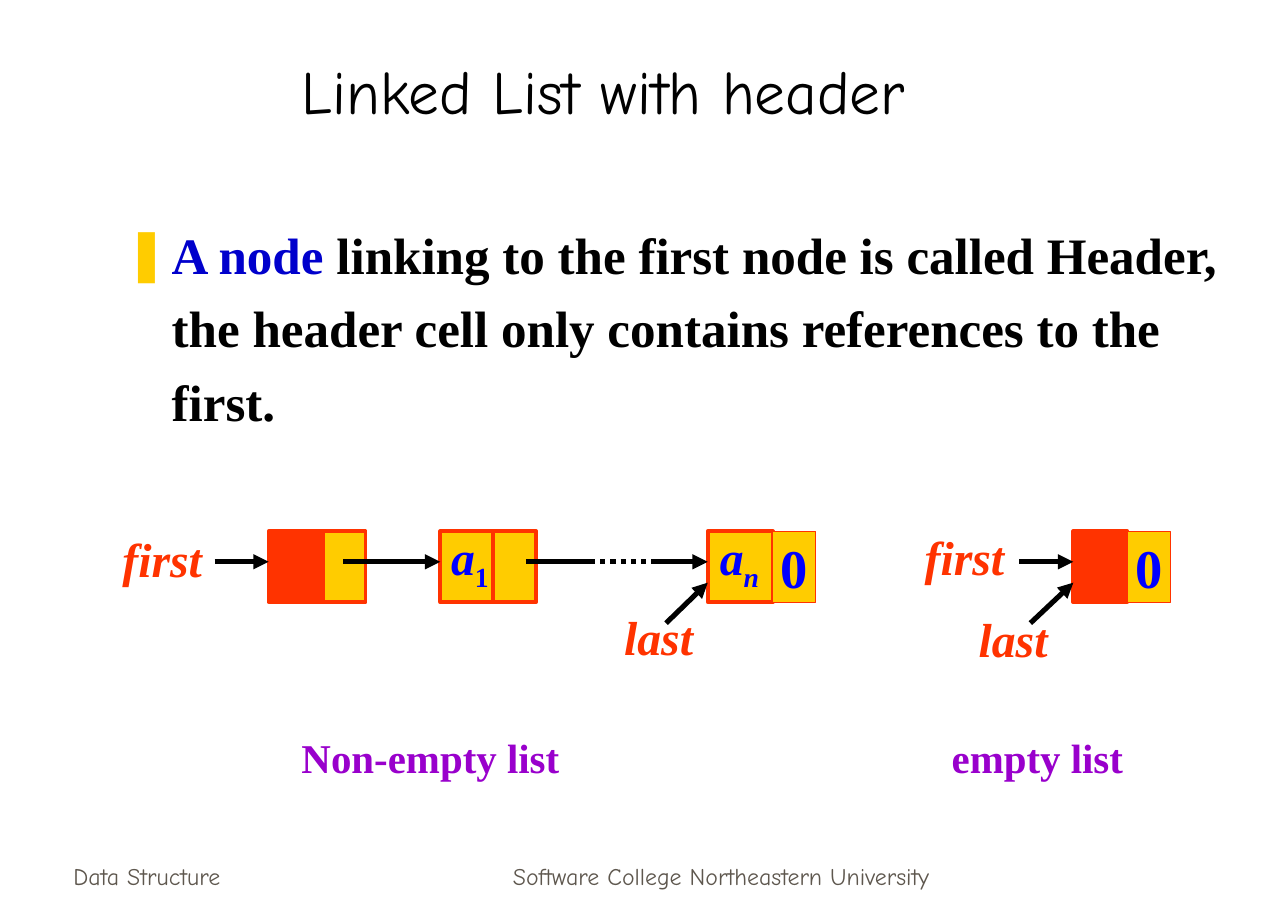
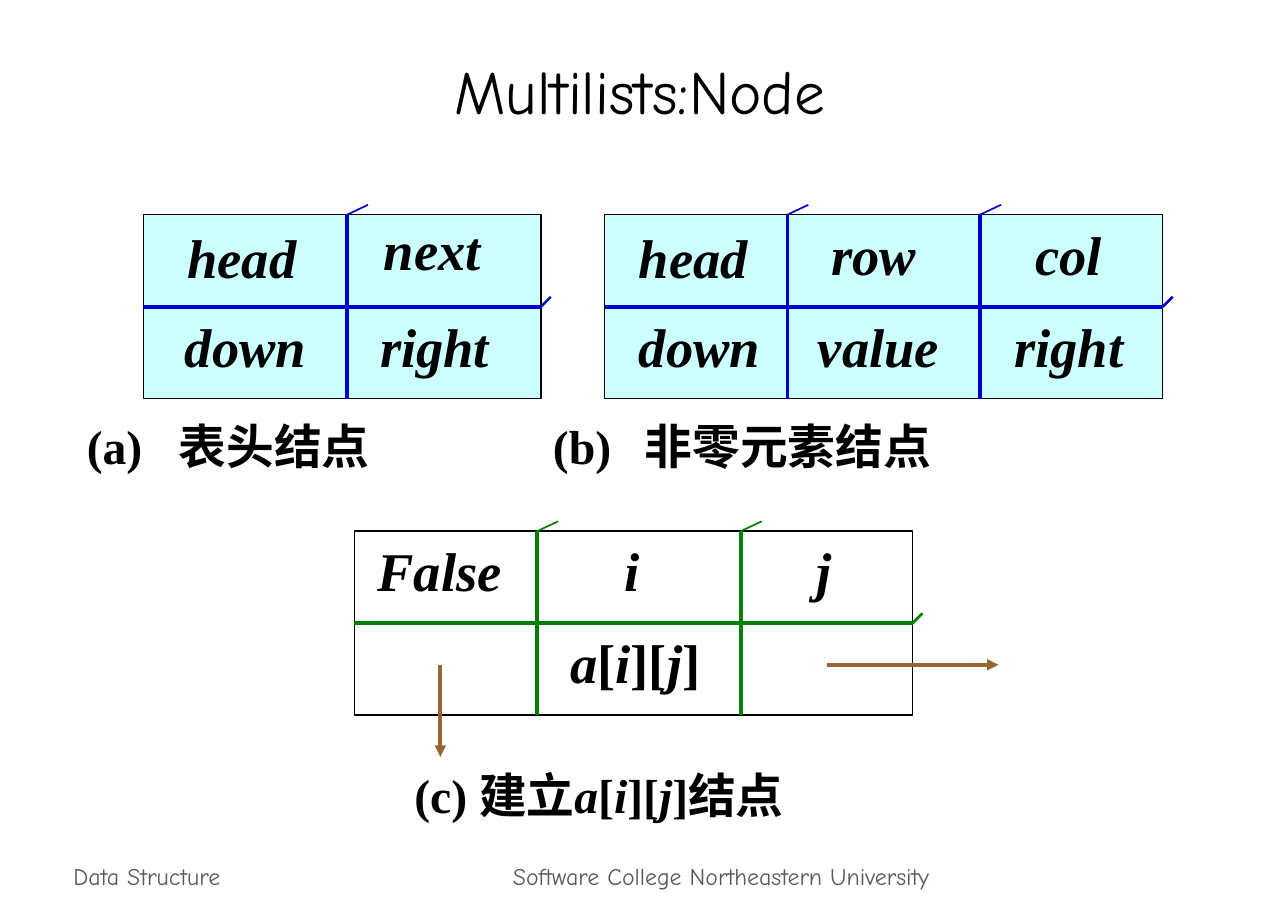
from lxml.etree import SubElement
from pptx import Presentation
from pptx.dml.color import RGBColor
from pptx.enum.dml import MSO_LINE
from pptx.enum.shapes import MSO_CONNECTOR, MSO_SHAPE
from pptx.enum.text import MSO_ANCHOR, MSO_AUTO_SIZE, PP_ALIGN
from pptx.oxml.ns import qn
from pptx.util import Inches, Pt

TITLE_FONT, BODY_FONT = "Comic Neue", "Times New Roman"
BLACK, WHITE, GREY = "000000", "FFFFFF", "5E574E"
RED, GOLD, BLUE, NAVY = "FF3300", "FFCC00", "0000FF", "0000CC"
PURPLE, GREEN, BROWN, CYAN = "9900CC", "008000", "996633", "CCFFFF"

FOOTERS = [
    ("Data Structure", 0.5, 2.19, PP_ALIGN.LEFT),
    ("Software College Northeastern University", 3.59, 4.58, PP_ALIGN.CENTER),
]

HEADER_TEXT = [
    ("A node ", {"color": NAVY}),
    ("linking to the first node is called Header, "
     "the header cell only contains references to the first.", {}),
]
CELL_TOP, CELL_HEIGHT, ARROW_Y = 4.33, 0.58, 4.58
DATA_WIDTH, LINK_WIDTH = 0.44, 0.35
LIST_CELLS = [
    (2.19, DATA_WIDTH, RED, ""), (2.63, LINK_WIDTH, GOLD, ""),
    (3.59, DATA_WIDTH, GOLD, ""), (4.02, LINK_WIDTH, GOLD, ""),
    (5.77, 0.53, GOLD, ""), (6.3, LINK_WIDTH, GOLD, "0"),
    (8.75, DATA_WIDTH, RED, ""), (9.19, LINK_WIDTH, GOLD, "0"),
]
LIST_ARROWS = [(1.75, 2.19), (2.8, 3.59), (5.34, 5.77), (8.31, 8.75)]
LAST_ARROWS = [(5.43, 5.77), (8.4, 8.75)]
POINTER_LABELS = [
    ("first", 0.9, 4.27), ("last", 4.99, 4.91),
    ("first", 7.44, 4.25), ("last", 7.88, 4.92),
]
ELEMENT_LABELS = [
    ([("a", {}), ("1", {"italic": False, "baseline": -25000})], 3.58),
    ([("a", {}), ("n", {"baseline": -25000})], 5.77),
]
LIST_CAPTIONS = [("Non-empty list", 2.36), ("empty list", 7.66)]

UPRIGHT = {"italic": False}
ITALIC = {"italic": True}
ENTRY = [("a", ITALIC), ("[", UPRIGHT), ("i", ITALIC), ("][", UPRIGHT),
         ("j", ITALIC), ("]", UPRIGHT)]
NODE_HEIGHT = 1.5
NODES = [
    {"left": 1.17, "top": 1.75, "width": 3.24, "dividers": [2.83],
     "fill": CYAN, "color": NAVY,
     "labels": [("head", 1.43, 1.78), ("next", 3.03, 1.71),
                ("down", 1.41, 2.5), ("right", 3, 2.5)]},
    {"left": 4.93, "top": 1.75, "width": 4.55, "dividers": [6.42, 7.99],
     "fill": CYAN, "color": NAVY,
     "labels": [("head", 5.11, 1.78), ("row", 6.68, 1.75),
                ("col", 8.34, 1.75), ("down", 5.11, 2.5),
                ("value", 6.57, 2.5), ("right", 8.17, 2.5)]},
    {"left": 2.89, "top": 4.33, "width": 4.55, "dividers": [4.38, 6.04],
     "fill": WHITE, "color": GREEN,
     "labels": [("False", 2.98, 4.33), ("i", 4.99, 4.33),
                ("j", 6.56, 4.33), (ENTRY, 4.55, 5.08)]},
]
LINK_ARROWS = [((3.59, 5.42), (3.59, 6.17)), ((6.74, 5.42), (8.14, 5.42))]
NODE_CAPTIONS = [
    ("(a)\t表头结点", 0.61, 3.35),
    ("(b)\t非零元素结点", 4.41, 3.35),
    ([("(c) 建立", UPRIGHT)] + ENTRY + [("结点", UPRIGHT)], 3.28, 6.19),
]


def rgb(value):
    return RGBColor.from_string(value)


def write(paragraph, content, size, color, font=BODY_FONT, bold=False,
          italic=False, align=PP_ALIGN.LEFT):
    paragraph.alignment = align
    paragraph.font.name = font
    paragraph.font.size = Pt(size)
    paragraph.font.bold = bold
    paragraph.font.italic = italic
    paragraph.font.color.rgb = rgb(color)
    runs = [(content, {})] if isinstance(content, str) else content
    for text, changes in runs:
        run = paragraph.add_run()
        run.text = text
        if "color" in changes:
            run.font.color.rgb = rgb(changes["color"])
        if "italic" in changes:
            run.font.italic = changes["italic"]
        if "baseline" in changes:
            run.font._element.set("baseline", str(changes["baseline"]))


def place(shape, left, top, width, height):
    shape.left, shape.top = Inches(left), Inches(top)
    shape.width, shape.height = Inches(width), Inches(height)


def add_label(slide, content, left, top, width, height, size, color,
              anchor=MSO_ANCHOR.TOP, tab=None, **style):
    box = slide.shapes.add_textbox(Inches(left), Inches(top),
                                   Inches(width), Inches(height))
    frame = box.text_frame
    frame.word_wrap = True
    frame.vertical_anchor = anchor
    paragraph = frame.paragraphs[0]
    if tab:
        tabs = SubElement(paragraph._p.get_or_add_pPr(), qn("a:tabLst"))
        SubElement(tabs, qn("a:tab"), pos=str(Inches(tab)), algn="l")
    write(paragraph, content, size, color, **style)


def add_box(slide, left, top, width, height, fill, line, line_width):
    shape = slide.shapes.add_shape(MSO_SHAPE.RECTANGLE, Inches(left),
                                   Inches(top), Inches(width), Inches(height))
    shape.shadow.inherit = False
    shape.fill.solid()
    shape.fill.fore_color.rgb = rgb(fill)
    shape.line.color.rgb = rgb(line)
    shape.line.width = Pt(line_width)
    return shape


def add_line(slide, start, end, color, width, arrow=False, dash=None):
    points = [Inches(value) for value in (*start, *end)]
    connector = slide.shapes.add_connector(MSO_CONNECTOR.STRAIGHT, *points)
    connector.line.color.rgb = rgb(color)
    connector.line.width = Pt(width)
    if dash:
        connector.line.dash_style = dash
    if arrow:
        SubElement(connector.line._get_or_add_ln(), qn("a:tailEnd"),
                   type="triangle")
    SubElement(connector._element.spPr, qn("a:effectLst"))


def start_slide(presentation, layout_name, title, left, width):
    layout = presentation.slide_layouts.get_by_name(layout_name)
    slide = presentation.slides.add_slide(layout)
    shape = slide.shapes.title
    place(shape, left, 0.25, width, 0.83)
    shape.text_frame.vertical_anchor = MSO_ANCHOR.BOTTOM
    write(shape.text_frame.paragraphs[0], title, 36, BLACK, TITLE_FONT,
          align=PP_ALIGN.CENTER)
    for text, footer_left, footer_width, align in FOOTERS:
        add_label(slide, text, footer_left, 6.81, footer_width, 0.5, 14, GREY,
                  MSO_ANCHOR.BOTTOM, font=TITLE_FONT, align=align)
    return slide


def write_body(body):
    place(body, 0.92, 1.67, 9.19, 1.92)
    body.text_frame.auto_size = MSO_AUTO_SIZE.NONE
    paragraph = body.text_frame.paragraphs[0]
    paragraph.line_spacing = 1.2
    paragraph.space_before = Pt(0)
    properties = paragraph._p.get_or_add_pPr()
    properties.set("marL", str(Inches(0.38)))
    properties.set("indent", str(Inches(-0.38)))
    bullet_color = SubElement(properties, qn("a:buClr"))
    SubElement(bullet_color, qn("a:srgbClr"), val=GOLD)
    SubElement(properties, qn("a:buChar"), char="❚")
    write(paragraph, HEADER_TEXT, 30, BLACK, bold=True)


def build_header_slide(presentation):
    slide = start_slide(presentation, "Title and Content",
                        "Linked List with header", 1.17, 7.5)
    write_body(slide.placeholders[1])
    for left, width, fill, text in LIST_CELLS:
        cell = add_box(slide, left, CELL_TOP, width, CELL_HEIGHT, fill, RED,
                       0.75 if text else 2.25)
        if text:
            cell.text_frame.word_wrap = False
            cell.text_frame.vertical_anchor = MSO_ANCHOR.MIDDLE
            write(cell.text_frame.paragraphs[0], text, 32, BLUE, bold=True,
                  align=PP_ALIGN.CENTER)
    add_line(slide, (4.29, ARROW_Y), (4.81, ARROW_Y), BLACK, 3)
    add_line(slide, (4.81, ARROW_Y), (5.34, ARROW_Y), BLACK, 3,
             dash=MSO_LINE.ROUND_DOT)
    for start, end in LIST_ARROWS:
        add_line(slide, (start, ARROW_Y), (end, ARROW_Y), BLACK, 3, True)
    for start, end in LAST_ARROWS:
        add_line(slide, (start, 5.08), (end, 4.75), BLACK, 3, True)
    for text, left, top in POINTER_LABELS:
        add_label(slide, text, left, top, 0.95, 0.57, 28, RED,
                  bold=True, italic=True)
    for content, left in ELEMENT_LABELS:
        add_label(slide, content, left, 4.25, 0.7, 0.63, 28, BLUE,
                  bold=True, italic=True)
    for text, left in LIST_CAPTIONS:
        add_label(slide, text, left, 5.92, 2.5, 0.5, 24, PURPLE, bold=True)


def add_node(slide, node):
    left, top, color = node["left"], node["top"], node["color"]
    right, middle = left + node["width"], top + NODE_HEIGHT / 2
    add_box(slide, left, top, node["width"], NODE_HEIGHT, node["fill"],
            BLACK, 0.75)
    add_line(slide, (left, middle), (right, middle), color, 2.25)
    add_line(slide, (right, middle), (right + 0.08, middle - 0.08), color, 1.5)
    for x in node["dividers"]:
        add_line(slide, (x, top), (x, top + NODE_HEIGHT), color, 2.25)
        add_line(slide, (x, top), (x + 0.17, top - 0.08), color, 1)
    for content, label_left, label_top in node["labels"]:
        add_label(slide, content, label_left, label_top, 1.4, 0.64, 32, BLACK,
                  bold=True, italic=True)


def build_node_slide(presentation):
    slide = start_slide(presentation, "Title Only", "Multilists:Node",
                        0.75, 8.93)
    for node in NODES:
        add_node(slide, node)
    for start, end in LINK_ARROWS:
        add_line(slide, start, end, BROWN, 2.25, True)
    for content, left, top in NODE_CAPTIONS:
        add_label(slide, content, left, top, 3.7, 0.6, 28, BLACK, tab=0.75,
                  bold=True)


def main():
    presentation = Presentation()
    presentation.slide_width = Inches(10.5)
    presentation.slide_height = Inches(7.5)
    build_header_slide(presentation)
    build_node_slide(presentation)
    presentation.save("out.pptx")


if __name__ == "__main__":
    main()
